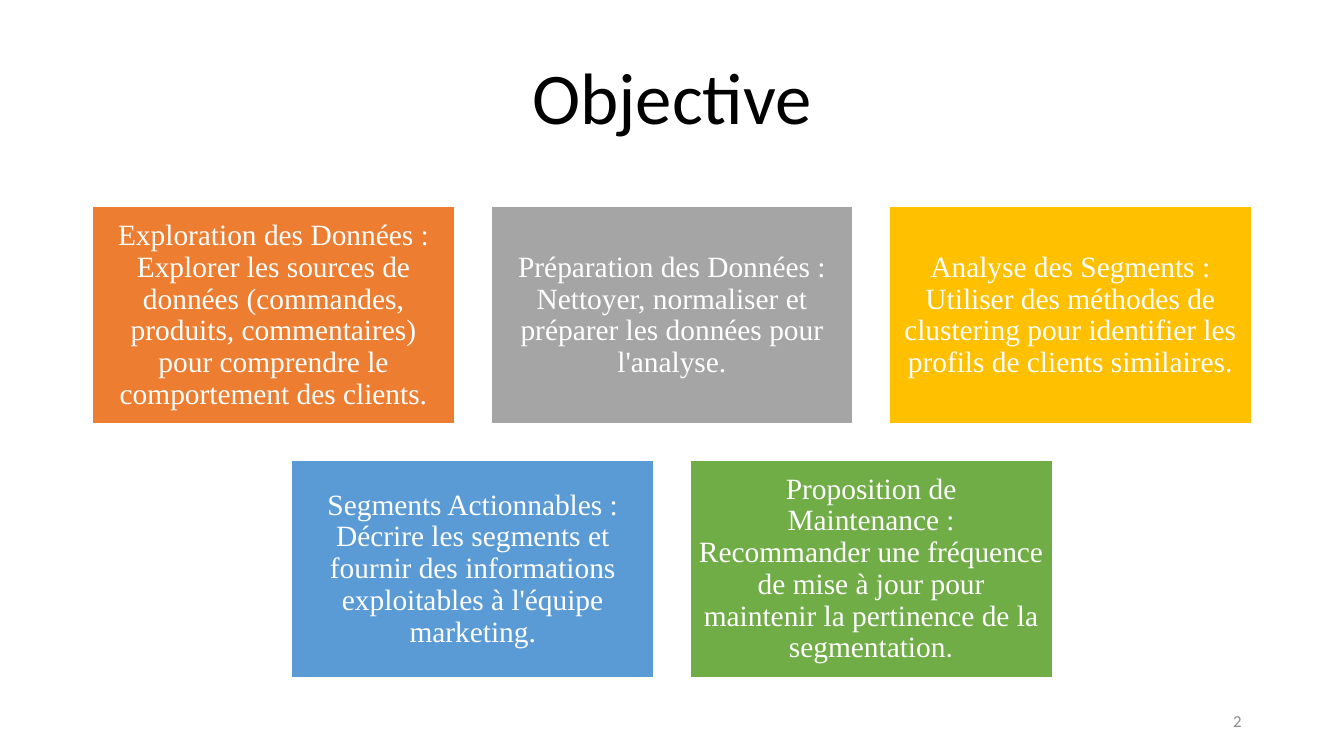
from pptx import Presentation
from pptx.dml.color import RGBColor
from pptx.enum.shapes import MSO_SHAPE as Shape
from pptx.enum.text import MSO_ANCHOR as Anchor, PP_ALIGN as Align
from pptx.util import Cm, Pt

COLORS = {
    "black": "000000",
    "white": "FFFFFF",
    "muted": "8C8C8C",
    "orange": "ED7D31",
    "gray": "A5A5A5",
    "gold": "FFC000",
    "blue": "5B9BD5",
    "green": "70AD47",
}

OBJECTIVE_ROWS = [
    [
        ("orange", "Exploration des Données : Explorer les sources de données "
                   "(commandes, produits, commentaires) pour comprendre le "
                   "comportement des clients."),
        ("gray", "Préparation des Données : Nettoyer, normaliser et préparer "
                 "les données pour l'analyse."),
        ("gold", "Analyse des Segments : Utiliser des méthodes de clustering "
                 "pour identifier les profils de clients similaires."),
    ],
    [
        ("blue", "Segments Actionnables : Décrire les segments et fournir des "
                 "informations exploitables à l'équipe marketing."),
        ("green", "Proposition de Maintenance : Recommander une fréquence de "
                  "mise à jour pour maintenir la pertinence de la segmentation"),
    ],
]

SLIDE_WIDTH, SLIDE_HEIGHT = 33.87, 19.05
CARD_WIDTH, CARD_HEIGHT, CARD_GAP = 9.13, 5.48, 0.91
CARDS_TOP = 5.21


class SlideBuilder:
    heading_font = "Calibri"
    card_font = "Times New Roman"

    def __init__(self, presentation):
        self.slide = presentation.slides.add_slide(presentation.slide_layouts[5])

    def color(self, name):
        return RGBColor.from_string(COLORS[name])

    def place(self, shape, left, top, width, height):
        shape.left, shape.top = Cm(left), Cm(top)
        shape.width, shape.height = Cm(width), Cm(height)

    def set_text(self, shape, text, font, size, color, align, spacing=None):
        frame = shape.text_frame
        frame.text = text
        frame.word_wrap = True
        frame.vertical_anchor = Anchor.MIDDLE
        paragraph = frame.paragraphs[0]
        paragraph.alignment = align
        paragraph.line_spacing = spacing
        self.format_run(paragraph.runs[0], font, size, color)
        return paragraph

    def format_run(self, run, font, size, color):
        run.font.name = font
        run.font.size = Pt(size)
        run.font.color.rgb = self.color(color)

    def title(self, text):
        shape = self.slide.shapes.title
        self.place(shape, 2.33, 0.97, 29.21, 3.15)
        self.set_text(shape, text, self.heading_font, 52, "black", Align.CENTER, 0.9)

    def card(self, left, top, fill, text):
        shape = self.slide.shapes.add_shape(
            Shape.RECTANGLE, Cm(left), Cm(top), Cm(CARD_WIDTH), Cm(CARD_HEIGHT))
        shape.shadow.inherit = False
        shape.fill.solid()
        shape.fill.fore_color.rgb = self.color(fill)
        shape.line.color.rgb = self.color("white")
        shape.line.width = Pt(1)
        frame = shape.text_frame
        frame.margin_left = frame.margin_right = Cm(0.22)
        frame.margin_top = frame.margin_bottom = Cm(0.22)
        return self.set_text(shape, text, self.card_font, 21, "white", Align.CENTER, 0.9)

    def cards(self, rows):
        for row_index, row in enumerate(rows):
            row_width = len(row) * (CARD_WIDTH + CARD_GAP) - CARD_GAP
            row_left = (SLIDE_WIDTH - row_width) / 2
            top = CARDS_TOP + row_index * (CARD_HEIGHT + CARD_GAP)
            for column, (fill, text) in enumerate(row):
                left = row_left + column * (CARD_WIDTH + CARD_GAP)
                paragraph = self.card(left, top, fill, text)
        full_stop = paragraph.add_run()
        full_stop.text = "."
        self.format_run(full_stop, "Roboto", 21, "white")

    def page_number(self, number):
        shape = self.slide.shapes.add_textbox(Cm(23.92), Cm(17.66), Cm(7.62), Cm(1.01))
        self.set_text(shape, number, self.heading_font, 12, "muted", Align.RIGHT)


def main():
    presentation = Presentation()
    presentation.slide_width = Cm(SLIDE_WIDTH)
    presentation.slide_height = Cm(SLIDE_HEIGHT)
    builder = SlideBuilder(presentation)
    builder.title("Objective")
    builder.cards(OBJECTIVE_ROWS)
    builder.page_number("2")
    presentation.save("out.pptx")


if __name__ == "__main__":
    main()
